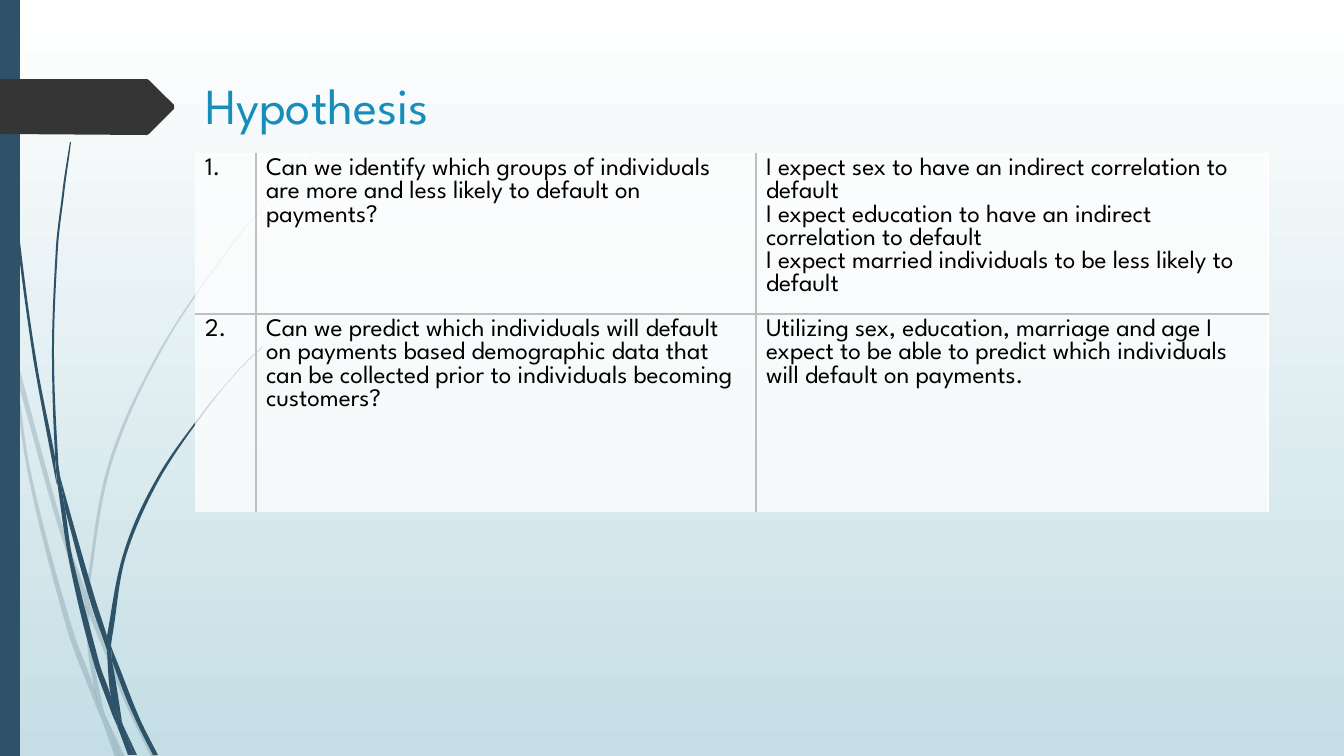
"""Build the Hypothesis slide: a two-row question table beside curved grass blades."""
import math
import pptx
import pptx.util
import pptx.oxml
import pptx.oxml.ns
import pptx.dml.color
import pptx.enum.shapes
import pptx.enum.text

PX = 914400 / 100.8
FONT = "League Spartan"
COLORS = {"top": "FFFFFF", "bottom": "C5DEE5", "blade": "2E5369", "tag": "353535",
          "title": "178DBB", "text": "000000", "cell": "FFFFFF", "rule": "BFBFBF", "edge": "FFFFFF"}

TITLE = "Hypothesis"
ROWS = [
    ["1.",
     "Can we identify which groups of individuals are more and less likely to default on payments?",
     "I expect sex to have an indirect correlation to default\n"
     "I expect education to have an indirect correlation to default\n"
     "I expect married individuals to be less likely to default"],
    ["2.",
     "Can we predict which individuals will default on payments based demographic data that "
     "can be collected prior to individuals becoming customers? ",
     "Utilizing sex, education, marriage and age I expect to be able to predict which individuals "
     "will default on payments. "],
]
COL_WIDTHS, ROW_HEIGHTS = [61, 500, 512], [161, 198]

# Every blade part has two smooth sides, walked down one and back along the other.
FAINT_BLADES = [
    [[(11, 353), (9, 325), (0, 284)], [(0, 301), (10, 347)]],
    [[(14, 348), (62, 524), (86, 591)], [(85, 604), (58, 526), (17, 379)]],
    [[(89, 601), (93, 612), (128, 698), (156, 757)], [(151, 757), (124, 700), (89, 615)]],
    [[(106, 717), (125, 757)], [(120, 757)]],
    [[(11, 353), (17, 379), (31, 473), (71, 624), (94, 688), (100, 713)],
     [(102, 720), (93, 699), (66, 626), (28, 474), (11, 353)]],
    [[(85, 604), (88, 651), (94, 688), (97, 698), (106, 717)], [(104, 712), (92, 651), (89, 615), (89, 613)]],
    [[(89, 601), (89, 589), (111, 466), (161, 352), (231, 247), (270, 200), (292, 176), (314, 155)],
     [(314, 154), (291, 176), (270, 199), (230, 246), (159, 351), (108, 465), (86, 589), (86, 591)]],
    [[(102, 720), (115, 757)], [(120, 757)]],
    [[(89, 615), (89, 601)], [(86, 591), (85, 604), (89, 613)]],
    [[(94, 688), (100, 713), (102, 720), (120, 757)], [(106, 717), (97, 698)]],
]
DARK_BLADES = [
    [[(3, 0), (4, 48), (7, 111), (17, 235), (33, 358), (56, 481), (57, 485)],
     [(55, 461), (55, 457), (36, 358), (19, 234), (8, 110), (5, 48), (4, 0)]],
    [[(60, 476), (94, 595), (107, 636), (107, 638)], [(107, 650), (89, 597), (65, 509)]],
    [[(111, 646), (114, 654), (137, 712), (158, 755)], [(153, 755), (133, 714), (112, 661)]],
    [[(57, 481), (65, 509), (73, 560), (99, 662), (111, 697), (117, 723)],
     [(118, 728), (112, 714), (94, 664), (69, 561), (57, 481)]],
    [[(60, 476), (58, 457), (54, 352), (58, 247), (64, 195), (71, 142)],
     [(70, 142), (62, 195), (56, 247), (52, 352), (55, 453), (60, 476)]],
    [[(123, 725), (137, 755)], [(134, 755)]],
    [[(55, 453), (60, 476), (65, 509)], [(57, 481), (55, 457)]],
    [[(111, 646), (112, 638), (126, 556), (159, 480), (207, 409), (233, 377), (247, 362), (263, 347)],
     [(262, 347), (247, 361), (233, 376), (206, 408), (157, 478), (123, 555), (107, 636)]],
    [[(118, 728), (128, 755)], [(132, 755)]],
    [[(107, 650), (111, 697), (117, 712), (123, 725)], [(122, 722), (112, 661), (110, 656)]],
    [[(107, 650), (110, 656), (112, 661)], [(111, 646), (107, 636), (107, 638)]],
    [[(111, 697), (117, 723), (118, 728), (131, 755)], [(134, 755), (123, 725), (117, 712)]],
]
TAG = [[(0, 79), (147, 79)], [(149, 80), (174, 105)], [(174, 109), (149, 134)], [(147, 135), (0, 134)]]


def px(n):
    return round(n * PX)


def rgb(name):
    return pptx.dml.color.RGBColor.from_string(COLORS[name])


def paint(fill, name, opacity=100):
    fill.solid()
    fill.fore_color.rgb = rgb(name)
    if opacity < 100:
        clr = fill._xPr.find(".//" + pptx.oxml.ns.qn("a:srgbClr"))
        clr.append(pptx.oxml.parse_xml(f'<a:alpha {pptx.oxml.ns.nsdecls("a")} val="{opacity * 1000}"/>'))


def finish(sp, name, opacity=100):
    sp.shadow.inherit = False
    sp.line.fill.background()
    paint(sp.fill, name, opacity)


def style(tf, name, size):
    for p in tf.paragraphs:
        p.alignment = pptx.enum.text.PP_ALIGN.LEFT
        for r in p.runs:
            for key, value in {"name": FONT, "size": pptx.util.Pt(size), "bold": False}.items():
                setattr(r.font, key, value)
            r.font.color.rgb = rgb(name)


def handles(a, b, c, d):
    """Give the two Bezier handles of the stretch from b to c between neighbours a and d."""
    reach = math.dist(b, c) / 3
    start, end = math.dist(a, c) or 1, math.dist(b, d) or 1
    return ([q + (r - p) / start * reach for p, q, r in zip(a, b, c)],
            [r - (s - q) / end * reach for q, r, s in zip(b, c, d)])


def add_outline(shapes, sides, name, opacity=100):
    points = [point for side in sides for point in side]
    builder = shapes.build_freeform(*points[0], scale=PX)
    builder.add_line_segments(points[1:], close=True)
    sp = builder.convert_to_shape()
    finish(sp, name, opacity)
    x0, y0 = (min(axis) for axis in zip(*points))
    lines = iter(sp._element.findall(".//" + pptx.oxml.ns.qn("a:lnTo")))
    for number, side in enumerate(sides):
        if number:
            next(lines)
        padded = [side[0], *side, side[-1]]
        for a, b, c, d in zip(padded, padded[1:], padded[2:], padded[3:]):
            line = next(lines)
            if len(side) == 2:
                continue
            scale = PX if sp._element.find(".//" + pptx.oxml.ns.qn("a:path")).w > 1000 else 1
            pts = "".join(f'<a:pt x="{round((x - x0) * scale)}" y="{round((y - y0) * scale)}"/>'
                          for x, y in (*handles(a, b, c, d), c))
            line.getparent().replace(line, pptx.oxml.parse_xml(
                f'<a:cubicBezTo {pptx.oxml.ns.nsdecls("a")}>{pts}</a:cubicBezTo>'))


def set_borders(cell, sides):
    for i, side in enumerate("LRTB"):
        fill = f'<a:solidFill><a:srgbClr val="{COLORS[sides[side]]}"/></a:solidFill>' if side in sides else "<a:noFill/>"
        cell._tc.get_or_add_tcPr().insert(i, pptx.oxml.parse_xml(
            f'<a:ln{side} {pptx.oxml.ns.nsdecls("a")} w="12700">{fill}</a:ln{side}>'))


prs = pptx.Presentation()
prs.slide_width, prs.slide_height = px(1344), px(756)
slide = prs.slides.add_slide(prs.slide_layouts[5])
shapes = slide.shapes

background = slide.background.fill
background.gradient()
background.gradient_angle = 270
for stop, name, position in zip(background.gradient_stops, ("top", "bottom"), (0, 1)):
    stop.color.rgb = rgb(name)
    stop.position = position

for blades, opacity in [(FAINT_BLADES, 20), (DARK_BLADES, 100)]:
    for sides in blades:
        add_outline(shapes, sides, "blade", opacity)
finish(shapes.add_shape(pptx.enum.shapes.MSO_SHAPE.RECTANGLE, 0, 0, px(20), px(756)), "blade")
add_outline(shapes, TAG, "tag")

title = shapes.title
for key, value in {"left": 195, "top": 69, "width": 983, "height": 76}.items():
    setattr(title, key, px(value))
title.text_frame.text = TITLE
title.text_frame.vertical_anchor = pptx.enum.text.MSO_ANCHOR.MIDDLE
title.text_frame.margin_bottom = px(11)
style(title.text_frame, "title", 36)

table = shapes.add_table(len(ROWS), len(COL_WIDTHS), px(195), px(153),
                         px(sum(COL_WIDTHS)), px(sum(ROW_HEIGHTS))).table
table.first_row = table.horz_banding = False
for column, width in zip(table.columns, COL_WIDTHS):
    column.width = px(width)
for row, height in zip(table.rows, ROW_HEIGHTS):
    row.height = px(height)
last_row, last_col = len(ROWS) - 1, len(COL_WIDTHS) - 1
for i, texts in enumerate(ROWS):
    for j, text in enumerate(texts):
        cell = table.cell(i, j)
        cell.text_frame.text = text
        style(cell.text_frame, "text", 18)
        paint(cell.fill, "cell", 75)
        sides = {"R": "rule" if j < last_col else "edge"}
        sides.update({"L": "rule"} if j > 0 else {})
        sides.update({"T": "rule"} if i > 0 else {})
        sides.update({"B": "rule"} if i < last_row else {})
        set_borders(cell, sides)

prs.save("out.pptx")
